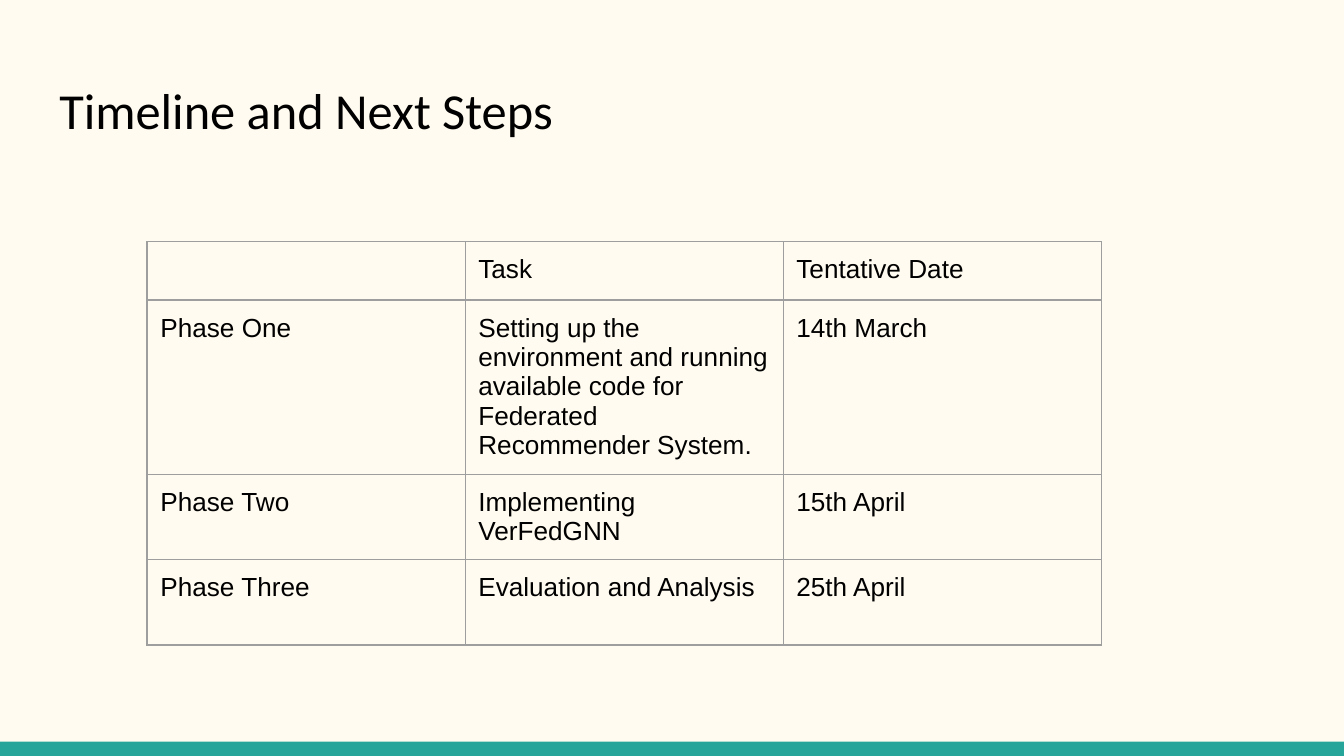
from lxml.etree import SubElement
from pptx import Presentation
from pptx.dml.color import RGBColor
from pptx.enum.shapes import MSO_SHAPE
from pptx.enum.text import MSO_ANCHOR, PP_ALIGN
from pptx.oxml.ns import qn
from pptx.util import Cm, Pt

COLORS = {"page": "FFFBF0", "bar": "26A69A", "text": "000000", "border": "9E9E9E"}
PAGE_WIDTH, PAGE_HEIGHT = Cm(25.4), Cm(14.29)
INSET = Cm(0.25)
CELL_SIZE = Pt(14)

COLUMN_WIDTH = Cm(6.01)
ROW_HEIGHTS = [Cm(1.06), Cm(3.29), Cm(1.61), Cm(1.62)]
TIMELINE = [
    ("", "Task", "Tentative Date"),
    (
        "Phase One",
        "Setting up the environment and running available code for "
        "Federated Recommender System.",
        "14th March",
    ),
    ("Phase Two", "Implementing VerFedGNN", "15th April"),
    ("Phase Three", "Evaluation and Analysis", "25th April"),
]


def color(name):
    return RGBColor.from_string(COLORS[name])


def write_text(para, text, *, font, size):
    para.alignment = PP_ALIGN.LEFT
    if not text:
        # The end mark keeps an empty cell from growing to the default size.
        SubElement(para._p, qn("a:endParaRPr"), sz=str(int(size.pt * 100)))
        return
    span = para.add_run()
    span.text = text
    span.font.name = font
    span.font.size = size
    span.font.bold = False
    span.font.color.rgb = color("text")


def set_insets(box):
    box.margin_left = box.margin_right = INSET
    box.margin_top = box.margin_bottom = INSET


def add_bar(page):
    height = Cm(0.27)
    bar = page.shapes.add_shape(
        MSO_SHAPE.RECTANGLE, 0, PAGE_HEIGHT - height, PAGE_WIDTH, height
    )
    bar.shadow.inherit = False
    bar.fill.solid()
    bar.fill.fore_color.rgb = color("bar")
    bar.line.fill.background()


def set_title(page, text):
    title = page.shapes.title
    title.left, title.top = Cm(0.87), Cm(1.24)
    title.width, title.height = Cm(23.66), Cm(1.7)
    box = title.text_frame
    box.word_wrap = True
    box.vertical_anchor = MSO_ANCHOR.TOP
    set_insets(box)
    write_text(box.paragraphs[0], text, font="Calibri", size=Pt(27))


def add_borders(cell):
    properties = cell._tc.get_or_add_tcPr()
    for index, side in enumerate(("lnL", "lnR", "lnT", "lnB")):
        line = properties.makeelement(qn(f"a:{side}"), {"w": str(Pt(0.75))})
        fill = SubElement(line, qn("a:solidFill"))
        SubElement(fill, qn("a:srgbClr"), val=COLORS["border"])
        properties.insert(index, line)


def add_timeline(page):
    columns = len(TIMELINE[0])
    frame = page.shapes.add_table(
        len(TIMELINE), columns, Cm(2.78), Cm(4.57),
        COLUMN_WIDTH * columns, sum(ROW_HEIGHTS),
    )
    table = frame.table
    table.first_row = table.horz_banding = False
    for column in table.columns:
        column.width = COLUMN_WIDTH
    for row, height, texts in zip(table.rows, ROW_HEIGHTS, TIMELINE):
        row.height = height
        for cell, text in zip(row.cells, texts):
            cell.fill.background()
            cell.vertical_anchor = MSO_ANCHOR.TOP
            set_insets(cell)
            add_borders(cell)
            write_text(
                cell.text_frame.paragraphs[0], text, font="Arial", size=CELL_SIZE
            )


def main():
    deck = Presentation()
    deck.slide_width, deck.slide_height = PAGE_WIDTH, PAGE_HEIGHT
    page = deck.slides.add_slide(deck.slide_layouts.get_by_name("Title Only"))
    page.background.fill.solid()
    page.background.fill.fore_color.rgb = color("page")
    add_bar(page)
    set_title(page, "Timeline and Next Steps")
    add_timeline(page)
    deck.save("out.pptx")


if __name__ == "__main__":
    main()
